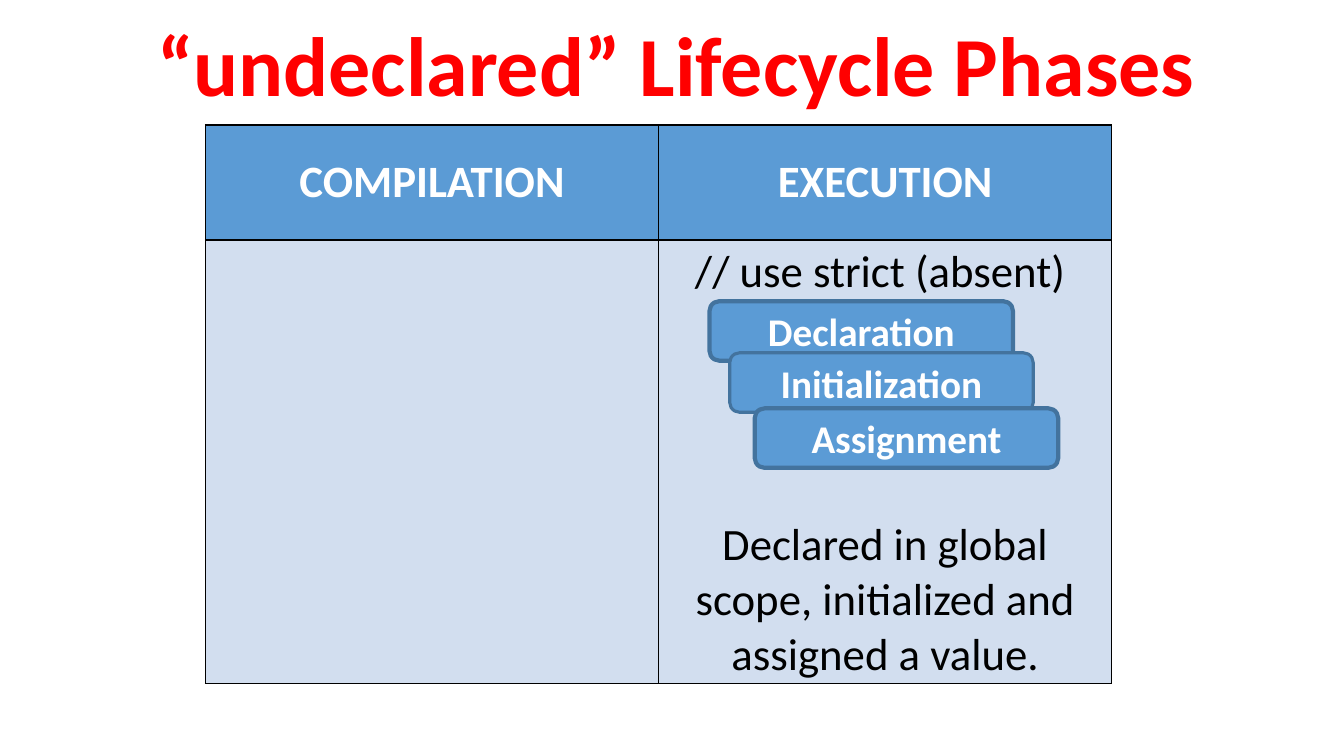
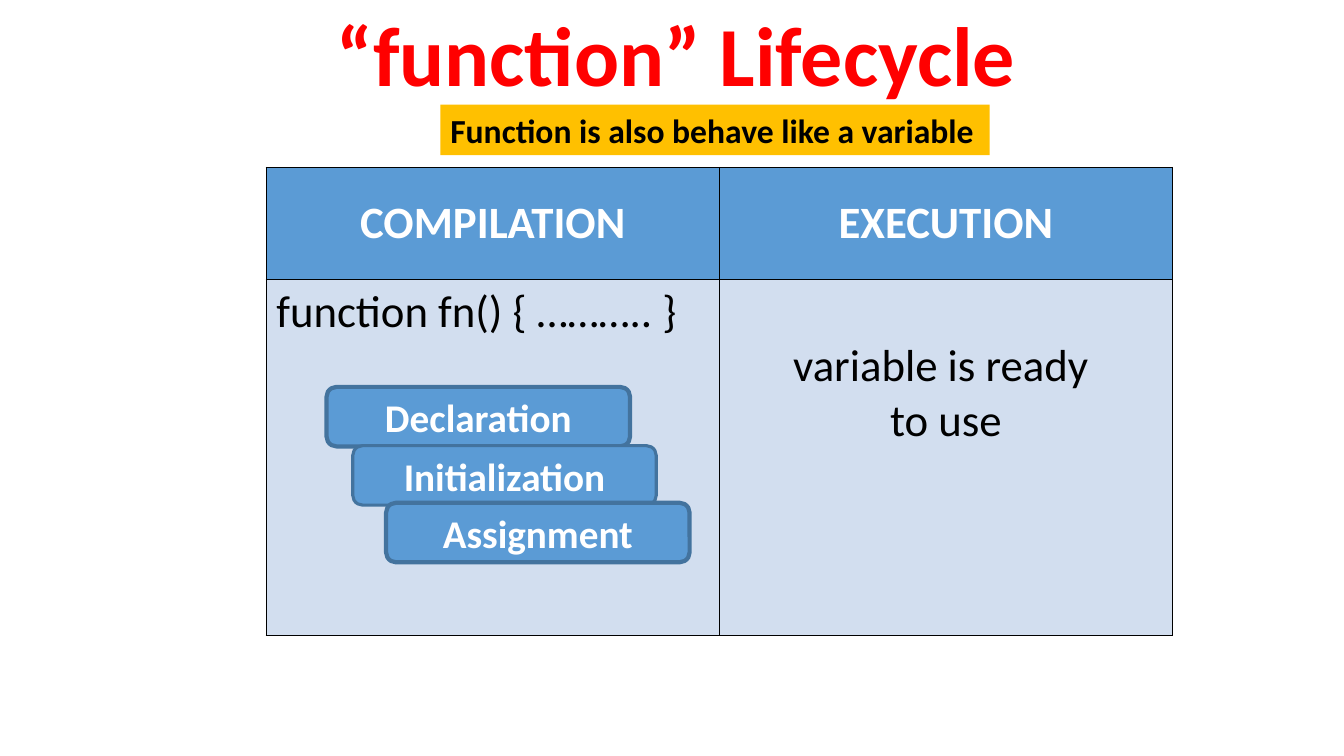
from dataclasses import dataclass

from lxml.etree import SubElement
from pptx import Presentation
from pptx.dml.color import RGBColor
from pptx.enum.shapes import MSO_SHAPE as Preset
from pptx.enum.text import MSO_ANCHOR as Anchor, PP_ALIGN as Align
from pptx.oxml.ns import qn
from pptx.util import Cm, Pt


@dataclass(frozen=True)
class Theme:
    font: str = "Calibri"
    # Colours
    title: str = "FF0000"
    accent: str = "5B9BD5"
    outline: str = "43739E"
    body: str = "D2DEEF"
    note: str = "FFC000"
    dark: str = "000000"
    light: str = "FFFFFF"
    # Type sizes
    title_size: int = 60
    table_size: int = 32
    phase_size: int = 28
    note_size: int = 24


@dataclass
class Line:
    """One paragraph of a table cell."""
    text: str
    align: Align = Align.CENTER
    space_before: float = 0


HEADINGS = ("COMPILATION", "EXECUTION")
# Each phase with the weight of its outline
PHASES = (("Declaration", 3), ("Initialization", 2.25), ("Assignment", 3))
COLUMN_WIDTH = 11.42
TABLE_LINE = 39  # height of one line of table text, in points


class Deck:
    def __init__(self, theme):
        self.theme = theme
        self.presentation = Presentation()
        self.presentation.slide_width = Cm(33.87)
        self.presentation.slide_height = Cm(19.05)
        self.slide = None

    def new_slide(self, title, top):
        layout = self.presentation.slide_layouts[6]
        self.slide = self.presentation.slides.add_slide(layout)
        box = self.slide.shapes.add_textbox(Cm(1.24), Cm(top), Cm(31.6), Cm(2.74))
        frame = box.text_frame
        frame.word_wrap = True
        frame.vertical_anchor = Anchor.MIDDLE
        paragraph = frame.paragraphs[0]
        paragraph.line_spacing = 0.9
        self.add_text(paragraph, title, self.theme.title_size, self.theme.title, True)

    def add_text(self, paragraph, text, size, color, bold=False, align=Align.CENTER):
        paragraph.alignment = align
        run = paragraph.add_run()
        run.text = text
        font = run.font
        font.name, font.size, font.bold = self.theme.font, Pt(size), bold
        font.color.rgb = RGBColor.from_string(color)

    def box(self, preset, text, place, fill, size, color, align=Align.CENTER):
        shape = self.slide.shapes.add_shape(preset, *map(Cm, place))
        shape.shadow.inherit = False
        shape.fill.solid()
        shape.fill.fore_color.rgb = RGBColor.from_string(fill)
        shape.line.fill.background()
        shape.text_frame.word_wrap = True
        shape.text_frame.vertical_anchor = Anchor.MIDDLE
        self.add_text(shape.text_frame.paragraphs[0], text, size, color, True, align)
        return shape

    def phases(self, positions):
        theme = self.theme
        for (name, weight), (left, top) in zip(PHASES, positions):
            shape = self.box(Preset.ROUNDED_RECTANGLE, name, (left, top, 7.65, 1.5),
                             theme.accent, theme.phase_size, theme.light)
            shape.line.color.rgb = RGBColor.from_string(theme.outline)
            shape.line.width = Pt(weight)

    def note(self, text, place):
        theme = self.theme
        self.box(Preset.RECTANGLE, text, place, theme.note,
                 theme.note_size, theme.dark, Align.LEFT)

    def style_cell(self, cell, fill):
        properties = cell._tc.get_or_add_tcPr()
        for side in ("lnL", "lnR", "lnT", "lnB"):
            border = SubElement(properties, qn(f"a:{side}"), w=str(Pt(1)))
            solid = SubElement(border, qn("a:solidFill"))
            SubElement(solid, qn("a:srgbClr"), val=self.theme.dark)
        cell.fill.solid()
        cell.fill.fore_color.rgb = RGBColor.from_string(fill)

    def phase_table(self, left, top, heights, contents):
        theme = self.theme
        table = self.slide.shapes.add_table(
            2, 2, Cm(left), Cm(top), Cm(2 * COLUMN_WIDTH), Cm(sum(heights))).table
        for row, height in zip(table.rows, heights):
            row.height = Cm(height)
        for index, (heading, lines) in enumerate(zip(HEADINGS, contents)):
            table.columns[index].width = Cm(COLUMN_WIDTH)
            # Heading
            head = table.cell(0, index)
            self.style_cell(head, theme.accent)
            head.vertical_anchor = Anchor.MIDDLE
            self.add_text(head.text_frame.paragraphs[0], heading,
                          theme.table_size, theme.light, True)
            # Content
            cell = table.cell(1, index)
            self.style_cell(cell, theme.body)
            frame = cell.text_frame
            for number, line in enumerate(lines):
                paragraph = frame.add_paragraph() if number else frame.paragraphs[0]
                paragraph.space_before = Pt(line.space_before)
                self.add_text(paragraph, line.text, theme.table_size, theme.dark,
                              align=line.align)
        return table


def main():
    deck = Deck(Theme())

    # Undeclared variables
    deck.new_slide("“undeclared” Lifecycle Phases", 0.38)
    deck.phase_table(5.18, 3.15, (2.9, 11.1), (
        [],
        [Line("// use strict (absent) "),
         Line("Declared in global scope, initialized and assigned a value.",
              space_before=4 * TABLE_LINE)],
    ))
    deck.phases([(17.88, 7.59), (18.39, 8.89), (19.02, 10.29)])

    # Functions
    deck.new_slide("“function” Lifecycle", 0.13)
    table = deck.phase_table(6.71, 4.22, (2.82, 8.98), (
        [Line("function fn() { ……….. }", Align.LEFT)],
        [Line("variable is ready "), Line("to use")],
    ))
    table.cell(1, 1).margin_top = Cm(1.5)
    deck.phases([(8.23, 9.75), (8.89, 11.23), (9.73, 12.67)])
    deck.note("Function is also behave like a variable", (11.1, 2.64, 13.84, 1.27))

    deck.presentation.save("out.pptx")


if __name__ == "__main__":
    main()
